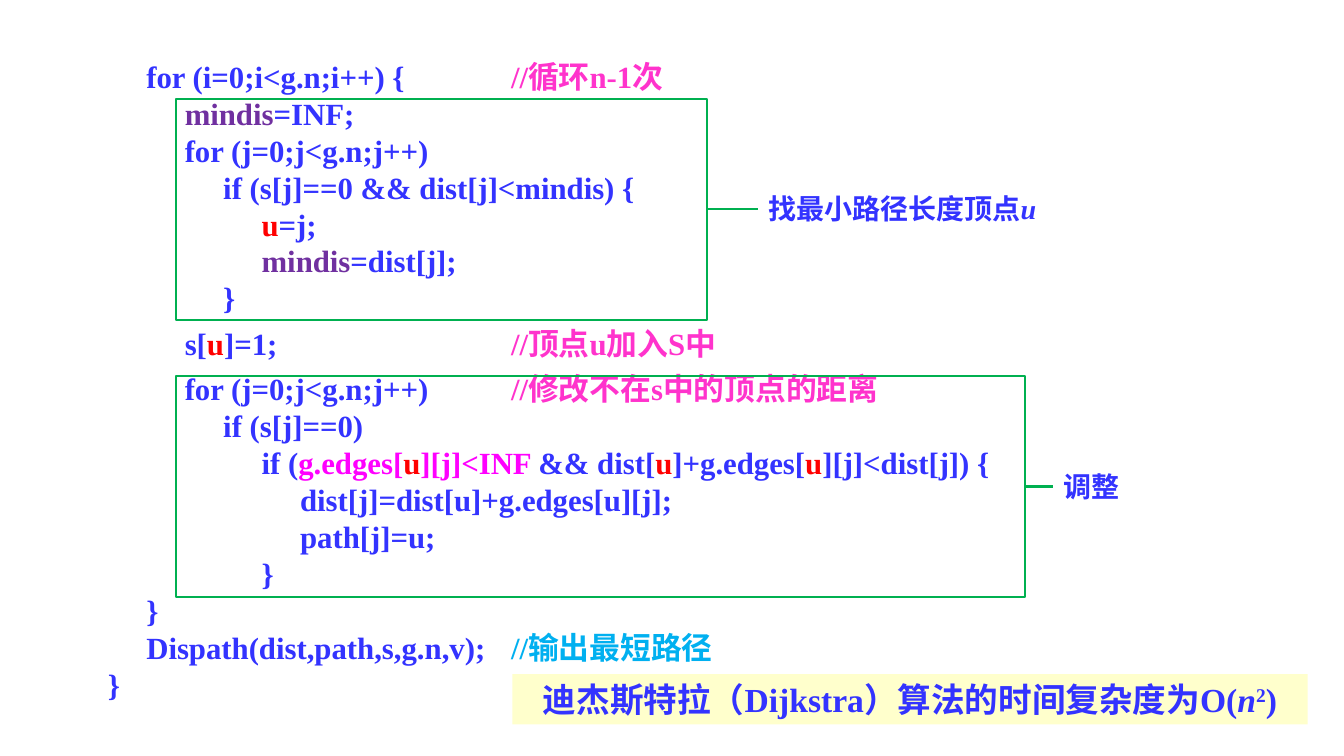
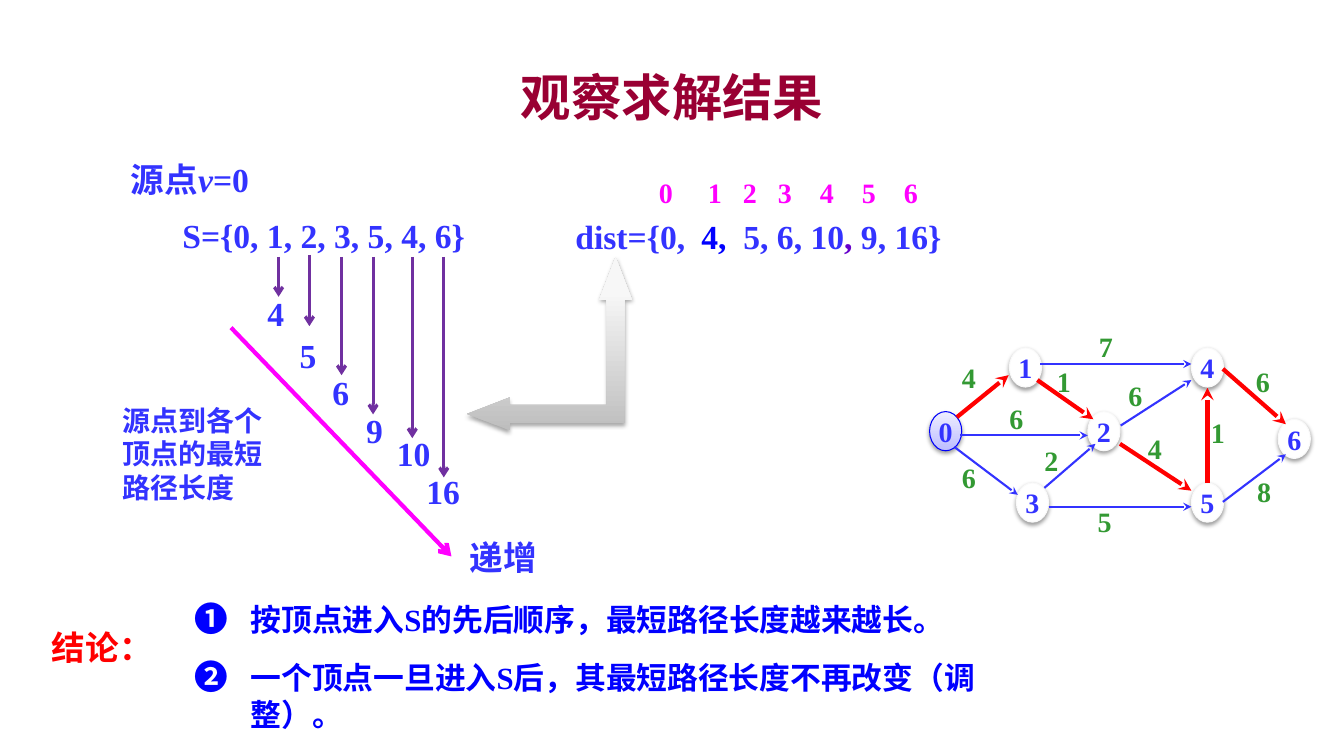
from typing import NamedTuple, Optional, Sequence, Union

from lxml.etree import SubElement
from pptx import Presentation
from pptx.dml.color import RGBColor
from pptx.enum.shapes import MSO_CONNECTOR, MSO_SHAPE
from pptx.enum.text import MSO_ANCHOR, PP_ALIGN
from pptx.oxml.ns import qn
from pptx.util import Pt

# Shared look
SERIF, HAN = "Times New Roman", "Noto Sans CJK SC"
BLUE, STRONG_BLUE, RED = "3333FF", "0000FF", "FF0000"
PURPLE, MAGENTA, PINK, CYAN = "7030A0", "FF00FF", "FF33CC", "00B0F0"
GREEN, WEIGHT_GREEN = "00B050", "339933"
LINE_HEIGHT = 1.2
INSET = (7.2, 3.6)


class Run(NamedTuple):
    text: str
    color: Optional[str] = None
    italic: bool = False
    size: Optional[float] = None
    baseline: int = 0


class Box(NamedTuple):
    left: float
    top: float
    width: float
    height: float


class CodeLine(NamedTuple):
    depth: int
    code: list
    comment: str = ""
    comment_color: str = PINK
    gap: float = 0


class Drop(NamedTuple):
    x: float
    top: float
    bottom: float
    length: str
    text_left: float
    text_top: float


class Edge(NamedTuple):
    start: tuple
    end: tuple
    weight: str
    weight_center: tuple
    on_path: bool = False


Paragraph = Union[str, list]


def rgb(color: str) -> RGBColor:
    return RGBColor.from_string(color)


def write_text(frame, paragraphs: Sequence[Paragraph], *, size: float = 24,
               color: str = BLUE, font: str = SERIF, align=PP_ALIGN.LEFT,
               anchor=MSO_ANCHOR.TOP, inset: tuple = INSET, wrap: bool = True,
               tabs: Sequence[float] = (), hanging: float = 0,
               gaps: Sequence[tuple] = ()) -> None:
    """Fill a frame; gaps holds (before, after) for each paragraph."""
    frame.word_wrap = wrap
    frame.vertical_anchor = anchor
    frame.margin_left = frame.margin_right = Pt(inset[0])
    frame.margin_top = frame.margin_bottom = Pt(inset[1])
    for index, content in enumerate(paragraphs):
        paragraph = frame.add_paragraph() if index else frame.paragraphs[0]
        properties = paragraph._p.get_or_add_pPr()
        if hanging:
            properties.set("marL", str(Pt(hanging)))
            properties.set("indent", str(-Pt(hanging)))
        if tabs:
            stops = SubElement(properties, qn("a:tabLst"))
            for stop in tabs:
                SubElement(stops, qn("a:tab"), pos=str(Pt(stop)), algn="l")
        paragraph.alignment = align
        paragraph.line_spacing = Pt(LINE_HEIGHT * size)
        if gaps:
            paragraph.space_before, paragraph.space_after = map(Pt, gaps[index])
        for part in [Run(content)] if isinstance(content, str) else content:
            run = paragraph.add_run()
            run.text = part.text
            run.font.size = Pt(part.size or size)
            run.font.bold = True
            run.font.italic = part.italic
            run.font.color.rgb = rgb(part.color or color)
            run.font.name = font
            run_properties = run._r.get_or_add_rPr()
            SubElement(run_properties, qn("a:ea"), typeface=HAN)
            if part.baseline:
                run_properties.set("baseline", str(part.baseline * 1000))


def add_text(slide, box: Box, *paragraphs: Paragraph, **text_format):
    label = slide.shapes.add_textbox(*map(Pt, box))
    write_text(label.text_frame, paragraphs, **text_format)
    return label


def add_shape(slide, kind, box: Box, *, fill: Optional[str] = None,
              fade: Optional[tuple] = None, line: Optional[str] = None,
              width: float = 1.5, shadow: int = 0):
    """Fade is (bottom colour, top colour, end of the fade)."""
    shape = slide.shapes.add_shape(kind, *map(Pt, box))
    shape.shadow.inherit = False
    if fade:
        shape.fill.gradient()
        shape.fill.gradient_angle = 90
        first, last = shape.fill.gradient_stops
        first.color.rgb, last.color.rgb = rgb(fade[0]), rgb(fade[1])
        first.position, last.position = 0, fade[2]
    elif fill:
        shape.fill.solid()
        shape.fill.fore_color.rgb = rgb(fill)
    else:
        shape.fill.background()
    if line:
        shape.line.color.rgb = rgb(line)
        shape.line.width = Pt(width)
    else:
        shape.line.fill.background()
    if shadow:
        effects = shape._element.spPr.find(qn("a:effectLst"))
        outer = SubElement(effects, qn("a:outerShdw"), blurRad=str(Pt(3.1)),
                           dist=str(Pt(1.7)), dir="5400000", rotWithShape="0")
        black = SubElement(outer, qn("a:srgbClr"), val="000000")
        SubElement(black, qn("a:alpha"), val=str(shadow * 1000))
    return shape


def add_line(slide, start: tuple, end: tuple, *, color: str,
             width: float = 1.5, head: str = ""):
    line = slide.shapes.add_connector(MSO_CONNECTOR.STRAIGHT,
                                      *map(Pt, (*start, *end)))
    line.line.color.rgb = rgb(color)
    line.line.width = Pt(width)
    properties = line._element.spPr
    if head:
        SubElement(properties.find(qn("a:ln")), qn("a:tailEnd"), type=head)
    SubElement(properties, qn("a:effectLst"))
    return line


def add_callout(slide, frame_box: Box, note_box: Box, note: Paragraph,
                font: str) -> None:
    code_frame = add_shape(slide, MSO_SHAPE.RECTANGLE, frame_box, line=GREEN)
    label = add_text(slide, note_box, note, size=20, font=font)
    link = add_line(slide, (0, 0), (1, 1), color=GREEN)
    link.begin_connect(code_frame, 3)
    link.end_connect(label, 1)


U = Run("u", RED)
INNER_LOOP = [Run("for (j=0;j<g.n;j++)")]
CODE = [
    CodeLine(1, [Run("for (i=0;i<g.n;i++) {")], "//循环n-1次"),
    CodeLine(2, [Run("mindis", PURPLE), Run("=INF;")]),
    CodeLine(2, INNER_LOOP),
    CodeLine(3, [Run("if (s[j]==0 && dist[j]<mindis) {")]),
    CodeLine(4, [U, Run("=j;")]),
    CodeLine(4, [Run("mindis", PURPLE), Run("=dist[j];")]),
    CodeLine(3, [Run("}")]),
    CodeLine(2, [Run("s["), U, Run("]=1;")], "//顶点u加入S中", gap=6),
    CodeLine(2, INNER_LOOP, "//修改不在s中的顶点的距离"),
    CodeLine(3, [Run("if (s[j]==0)")]),
    CodeLine(4, [Run("if ("), Run("g.edges[", MAGENTA), U,
                 Run("][j]<INF ", MAGENTA), Run("&& dist["), U,
                 Run("]+g.edges["), U, Run("][j]<dist[j]) {")]),
    CodeLine(5, [Run("dist[j]=dist[u]+g.edges[u][j];")]),
    CodeLine(5, [Run("path[j]=u;")]),
    CodeLine(4, [Run("}")]),
    CodeLine(1, [Run("}")]),
    CodeLine(1, [Run("Dispath(dist,path,s,g.n,v);")], "//输出最短路径", CYAN),
    CodeLine(0, [Run("}")]),
]


def code_runs(line: CodeLine) -> list:
    runs = [Run("     " * line.depth)] if line.depth else []
    runs += line.code
    if line.comment:
        runs.append(Run("\t" + line.comment, line.comment_color))
    return runs


def build_code_slide(slide) -> None:
    add_text(slide, Box(70, 37.5, 655, 472), *map(code_runs, CODE), size=22,
             tabs=[288], gaps=[(line.gap, line.gap) for line in CODE])

    # Framed steps and their notes
    add_callout(slide, Box(126, 70.5, 379, 158), Box(541.5, 133, 229, 33),
                [Run("找最小路径长度顶点"), Run("u", italic=True)], SERIF)
    add_callout(slide, Box(126, 268.5, 606, 158), Box(752.5, 331.5, 100, 32),
                "调整", HAN)

    # Time complexity
    complexity = add_shape(slide, MSO_SHAPE.RECTANGLE,
                           Box(366, 481.5, 568, 36), fill="FFFFCC")
    write_text(complexity.text_frame,
               [[Run("迪杰斯特拉（Dijkstra）算法的时间复杂度为O("),
                 Run("n", italic=True), Run("2", baseline=30), Run(")")]],
               align=PP_ALIGN.CENTER)


DROPS = [
    Drop(199, 183.5, 212, "4", 191, 209.5),
    Drop(221, 182, 233, "5", 214, 239),
    Drop(244, 183.5, 268, "6", 237.5, 265.5),
    Drop(266.5, 183.5, 296, "9", 261.5, 293),
    Drop(294.5, 183.5, 313, "10", 283.5, 309),
    Drop(317, 183.5, 341, "16", 304.5, 336),
]
SOURCE = "0"
NODES = {"0": (664, 294), "1": (721, 248.5), "3": (726, 345),
         "2": (777, 294), "4": (851, 248.5), "5": (851, 345),
         "6": (913, 299.5)}
EDGES = [
    Edge((683.5, 298), (720.5, 268), "4", (692, 269.5), True),
    Edge((686, 311), (777, 311), "6", (726, 299)),
    Edge((682, 319.5), (727, 353.5), "6", (692, 341)),
    Edge((743, 260), (851, 260), "7", (790, 247.5)),
    Edge((749, 362), (851, 362), "5", (789, 372)),
    Edge((746, 348.5), (782.5, 317), "2", (751, 329)),
    Edge((741, 271.5), (781, 299.5), "1", (760, 272), True),
    Edge((800.5, 304), (851, 271.5), "6", (811, 282)),
    Edge((800, 317), (851, 350.5), "4", (825, 320), True),
    Edge((862.5, 345), (862.5, 277), "1", (870, 308.5), True),
    Edge((873.5, 358.5), (918.5, 324.5), "8", (903, 351)),
    Edge((873.5, 263.5), (918.5, 303), "6", (902, 272.5), True),
]


def build_graph(slide) -> None:
    for name, corner in NODES.items():
        look = (dict(fade=("BDBDFF", "EEEEFF", 1), line="0000F9")
                if name == SOURCE else dict(fill="FFFFFF", line="F9F9F9"))
        node = add_shape(slide, MSO_SHAPE.OVAL, Box(*corner, 23, 28),
                         width=0.75, shadow=38, **look)
        write_text(node.text_frame, [name], size=20, align=PP_ALIGN.CENTER,
                   anchor=MSO_ANCHOR.MIDDLE, wrap=False)
    for edge in EDGES:
        add_line(slide, edge.start, edge.end, head="stealth",
                 color=RED if edge.on_path else BLUE,
                 width=3 if edge.on_path else 1.5)
    for edge in EDGES:
        x, y = edge.weight_center
        add_text(slide, Box(x - 10, y - 12, 20, 24), edge.weight, size=20,
                 color=WEIGHT_GREEN, align=PP_ALIGN.CENTER, inset=(0, 0))


def build_result_slide(slide) -> None:
    add_text(slide, Box(72, 42, 816, 54), "观察求解结果", size=36, font=HAN,
             color="990033", align=PP_ALIGN.CENTER, anchor=MSO_ANCHOR.MIDDLE)

    # Source vertex, set S and dist
    add_text(slide, Box(86.5, 110, 124, 36),
             [Run("源点"), Run("v", italic=True), Run("=0")])
    add_text(slide, Box(125.5, 153.5, 211.5, 29), "S={0, 1, 2, 3, 5, 4, 6}",
             align=PP_ALIGN.CENTER, inset=(0, 0))
    add_text(slide, Box(411, 154, 289, 29),
             [Run("dist={0,"), Run("\t4,", STRONG_BLUE), Run("\t5, 6, 10"),
              Run(", ", "6600CC"), Run("9, 16}")],
             tabs=[90, 120], inset=(0, 0))
    add_text(slide, Box(463.5, 121.5, 214, 32), "\t".join("0123456"), size=20,
             color=MAGENTA, tabs=[35, 60, 85, 115, 145, 175])

    # Shortest lengths in the order of S
    add_line(slide, (165, 234), (322.5, 397.5), color=MAGENTA, width=3,
             head="arrow")
    add_text(slide, Box(328.5, 380, 84, 36), "递增", font=HAN)
    for drop in DROPS:
        add_line(slide, (drop.x, drop.top), (drop.x, drop.bottom),
                 color=PURPLE, width=2.25, head="arrow")
        add_text(slide, Box(drop.text_left, drop.text_top, 30, 29),
                 drop.length, inset=(0, 0))
    add_text(slide, Box(80.5, 284.5, 118, 80), "源点到各个顶点的最短路径长度",
             size=20, font=HAN)

    # Conclusions
    add_text(slide, Box(132, 426, 600, 80),
             [Run("❶", size=24),
              Run("\t按顶点进入S的先后顺序，最短路径长度越来越长。")],
             [Run("❷", size=24),
              Run("\t一个顶点一旦进入S后，其最短路径长度不再改变（调整）。")],
             size=22, color=STRONG_BLUE, hanging=40, gaps=[(0, 0), (15, 0)])
    add_text(slide, Box(30, 444, 96, 36), "结论：", font=HAN, color=RED)

    # Link between dist and the lengths
    turn = add_shape(slide, MSO_SHAPE.LEFT_UP_ARROW,
                     Box(333.5, 183.5, 118, 124),
                     fade=("BEBEBE", "F7F7F7", 0.8), shadow=35)
    for index, ratio in enumerate((0.11, 0.1, 0.26)):
        turn.adjustments[index] = ratio

    build_graph(slide)


def main() -> None:
    deck = Presentation()
    deck.slide_width, deck.slide_height = Pt(960), Pt(540)
    for build in (build_code_slide, build_result_slide):
        build(deck.slides.add_slide(deck.slide_layouts[6]))
    deck.save("out.pptx")


if __name__ == "__main__":
    main()
